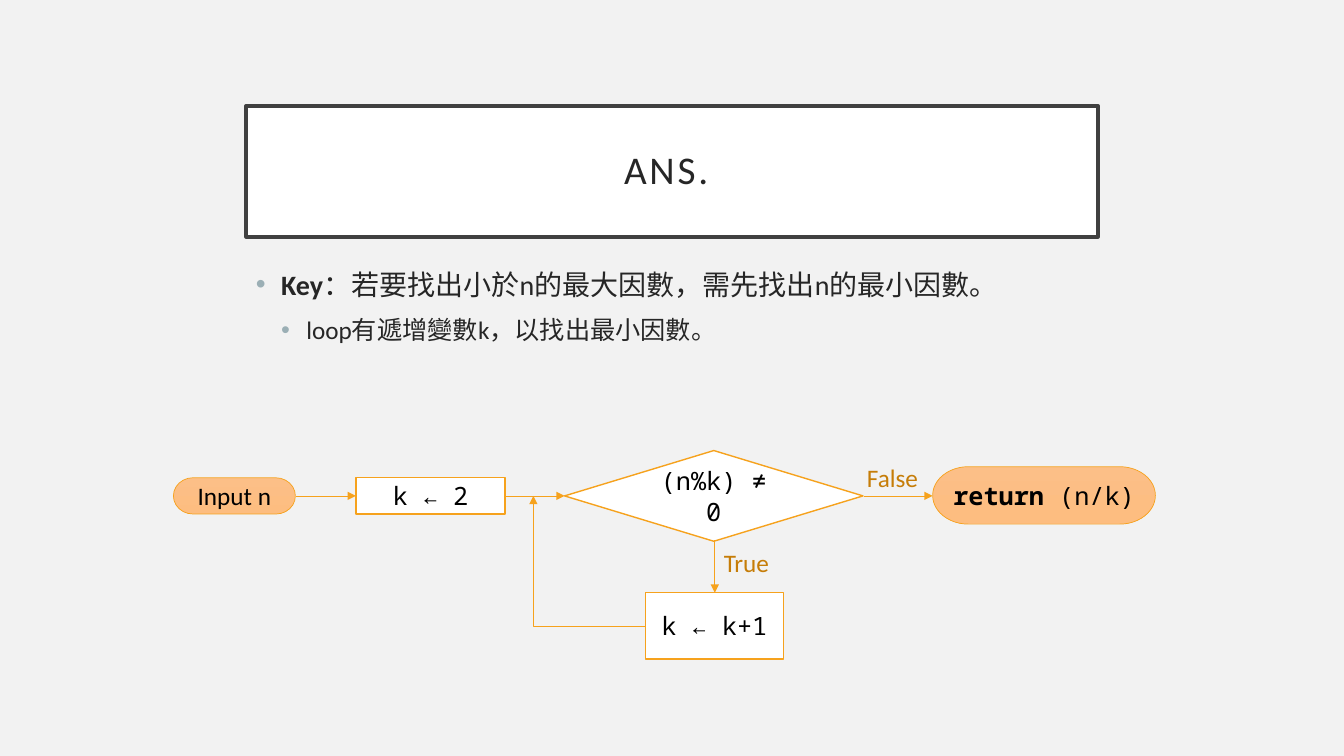
import pptx
import pptx.dml.color
import pptx.enum.shapes
import pptx.enum.text
import pptx.oxml.ns
import pptx.oxml.xmlchemy
import pptx.util

Inches = pptx.util.Inches
Pt = pptx.util.Pt
RGBColor = pptx.dml.color.RGBColor
Shape = pptx.enum.shapes.MSO_SHAPE
Connector = pptx.enum.shapes.MSO_CONNECTOR
Align = pptx.enum.text.PP_ALIGN
Anchor = pptx.enum.text.MSO_ANCHOR
qn = pptx.oxml.ns.qn

BACKGROUND = RGBColor(0xF2, 0xF2, 0xF2)
WHITE = RGBColor(0xFF, 0xFF, 0xFF)
BLACK = RGBColor(0x00, 0x00, 0x00)
FRAME = RGBColor(0x40, 0x40, 0x40)
INK = RGBColor(0x26, 0x26, 0x26)
ORANGE = RGBColor(0xF6, 0xA2, 0x1D)
BRANCH = RGBColor(0xC6, 0x7D, 0x08)
PEACH_TOP = RGBColor(0xFC, 0xBF, 0x87)
PEACH_BOTTOM = RGBColor(0xFD, 0xBD, 0x80)
BULLET = RGBColor(0x9B, 0xAF, 0xB5)

SANS = "Calibri"
MONO = "Noto Sans Mono"
FLOW_Y = 4.92


def add_span(para, text, size, color, font=SANS, bold=False):
    span = para.add_run()
    span.text = text
    span.font.name = font
    span.font.size = Pt(size)
    span.font.bold = bold
    span.font.color.rgb = color
    return span


def add_element(parent, tag, **attributes):
    element = pptx.oxml.xmlchemy.OxmlElement(tag)
    for name, value in attributes.items():
        element.set(name, str(value))
    parent.append(element)
    return element


def format_title(page):
    title = page.shapes.title
    title.left, title.top = Inches(2.44), Inches(1.05)
    title.width, title.height = Inches(8.45), Inches(1.3)
    title.fill.solid()
    title.fill.fore_color.rgb = WHITE
    title.line.color.rgb = FRAME
    title.line.width = Pt(2.5)
    frame = title.text_frame
    frame.vertical_anchor = Anchor.MIDDLE
    frame.margin_left = frame.margin_right = Inches(0.2)
    frame.margin_top = frame.margin_bottom = Inches(0.2)
    para = frame.paragraphs[0]
    para.alignment = Align.CENTER
    para.line_spacing = 0.9
    span = add_span(para, "ANS. ", 28, INK)
    span.font._element.set("spc", "200")


def add_bullets(page, items):
    box = page.shapes.add_textbox(Inches(2.44), Inches(2.6), Inches(8.45), Inches(3.39))
    frame = box.text_frame
    frame.word_wrap = True
    for level, (size, spans) in enumerate(items):
        para = frame.add_paragraph() if level else frame.paragraphs[0]
        para.level = level
        if level:
            para.space_before = Pt(10)
        properties = para._p.get_or_add_pPr()
        properties.set("marL", str(Inches(0.25 * (level + 1))))
        properties.set("indent", str(Inches(-0.25)))
        bullet_color = add_element(properties, "a:buClr")
        add_element(bullet_color, "a:srgbClr", val=BULLET)
        add_element(properties, "a:buFont", typeface="Arial")
        add_element(properties, "a:buChar", char="•")
        for text, bold in spans:
            add_span(para, text, size, INK, bold=bold)


def add_step(page, kind, left, top, width, height, spans, font=MONO):
    step = page.shapes.add_shape(
        kind, Inches(left), Inches(top), Inches(width), Inches(height))
    step.shadow.inherit = False
    step.line.color.rgb = ORANGE
    if kind == Shape.FLOWCHART_TERMINATOR:
        step.line.width = Pt(0.5)
        step.fill.gradient()
        step.fill.gradient_angle = 270
        for stop, color in zip(step.fill.gradient_stops, (PEACH_TOP, PEACH_BOTTOM)):
            stop.color.rgb = color
    else:
        step.line.width = Pt(1)
        step.fill.solid()
        step.fill.fore_color.rgb = WHITE
    step.text_frame.vertical_anchor = Anchor.MIDDLE
    para = step.text_frame.paragraphs[0]
    para.alignment = Align.CENTER
    for text, bold in spans:
        add_span(para, text, 18, BLACK, font, bold)


def add_arrow(page, x1, y1, x2, y2, kind=Connector.STRAIGHT):
    arrow = page.shapes.add_connector(
        kind, Inches(x1), Inches(y1), Inches(x2), Inches(y2))
    arrow.line.color.rgb = ORANGE
    arrow.line.width = Pt(0.5)
    properties = arrow._element.spPr
    add_element(properties.find(qn("a:ln")), "a:tailEnd", type="triangle")
    add_element(properties, "a:effectLst")
    return arrow


def add_loop_back(page):
    loop = add_arrow(page, 5.29, FLOW_Y, 6.4, 6.21, Connector.ELBOW)
    properties = loop._element.spPr
    properties.find(qn("a:xfrm")).set("rot", "10800000")
    properties.find(qn("a:prstGeom")).set("prst", "bentConnector2")


def add_branch_label(page, text, left, top, width):
    box = page.shapes.add_textbox(Inches(left), Inches(top), Inches(width), Inches(0.4))
    box.text_frame.word_wrap = True
    add_span(box.text_frame.paragraphs[0], text, 18, BRANCH)


def main():
    deck = pptx.Presentation()
    deck.slide_width, deck.slide_height = Inches(13.33), Inches(7.5)
    page = deck.slides.add_slide(deck.slide_layouts[5])
    page.background.fill.solid()
    page.background.fill.fore_color.rgb = BACKGROUND

    format_title(page)
    add_bullets(page, [
        (20, [("Key", True), ("：若要找出小於n的最大因數，需先找出n的最小因數。", False)]),
        (18, [("loop有遞增變數k，以找出最小因數。", False)]),
    ])

    add_step(page, Shape.FLOWCHART_TERMINATOR, 1.72, 4.74, 1.21, 0.36,
             [("Input n", False)], SANS)
    add_step(page, Shape.FLOWCHART_PROCESS, 3.53, 4.74, 1.48, 0.36, [("k ← 2", False)])
    add_step(page, Shape.FLOWCHART_DECISION, 5.6, 4.47, 2.96, 0.9, [("(n%k) ≠ 0", False)])
    add_step(page, Shape.FLOWCHART_PROCESS, 6.4, 5.88, 1.37, 0.66, [("k ← k+1", False)])
    add_step(page, Shape.FLOWCHART_TERMINATOR, 9.25, 4.63, 2.21, 0.57,
             [("return ", True), ("(n/k)", False)])

    for start, end in ((2.94, 3.53), (5.01, 5.6), (8.57, 9.25)):
        add_arrow(page, start, FLOW_Y, end, FLOW_Y)
    add_arrow(page, 7.09, 5.36, 7.09, 5.88)
    add_loop_back(page)

    add_branch_label(page, "True", 7.08, 5.38, 0.68)
    add_branch_label(page, "False", 8.5, 4.54, 0.94)
    deck.save("out.pptx")


if __name__ == "__main__":
    main()
